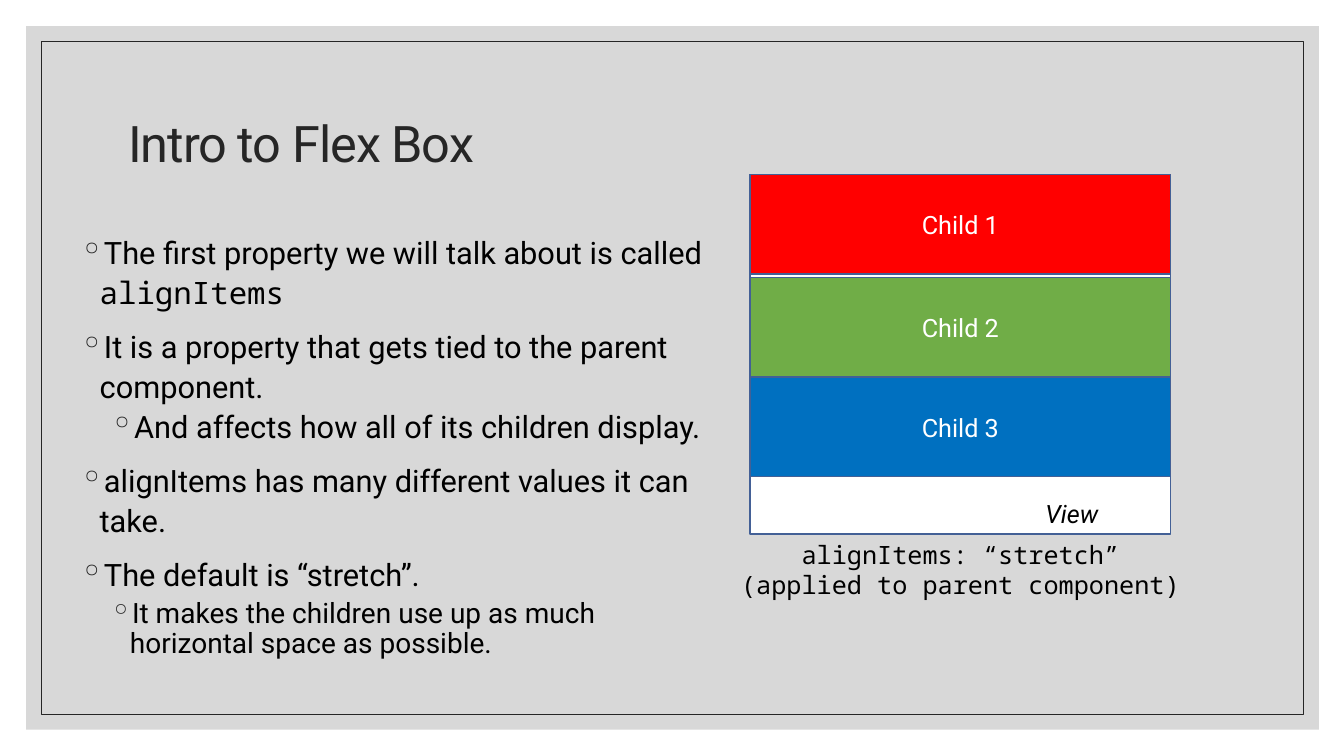
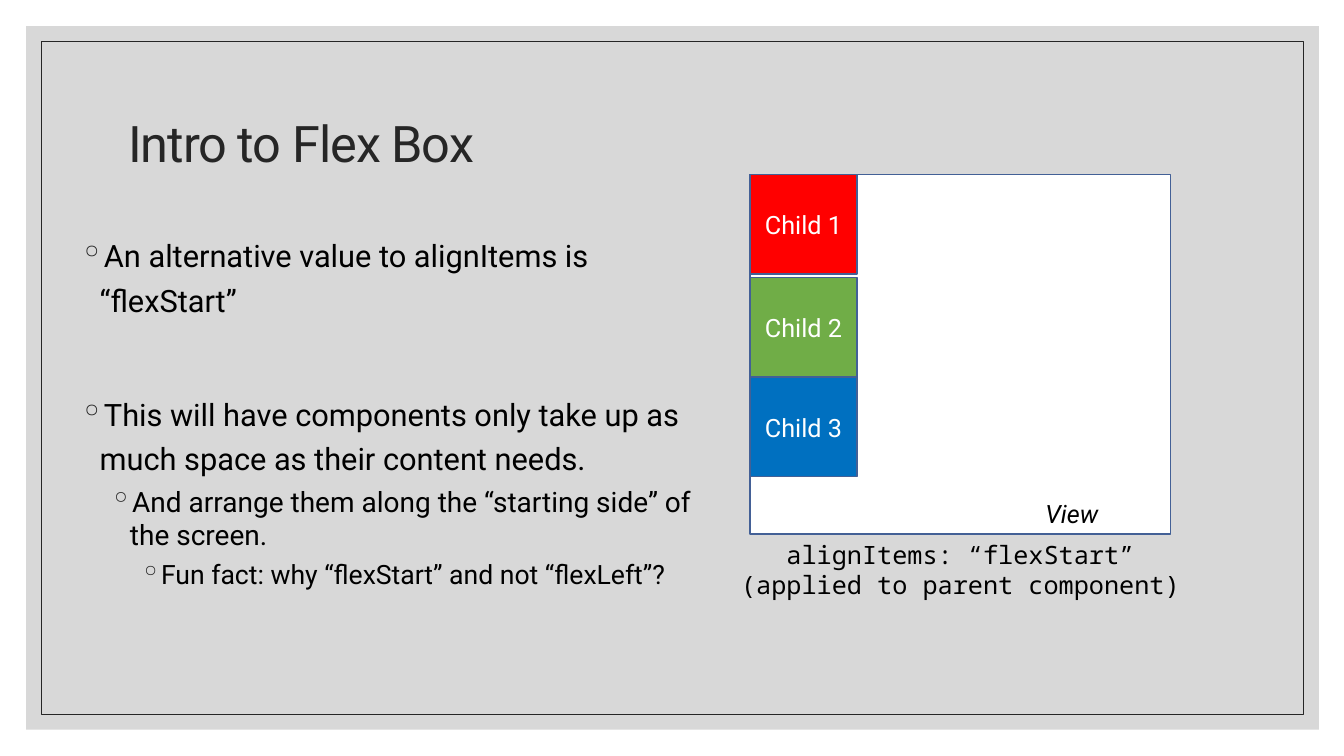
from dataclasses import dataclass

import pptx
import pptx.dml.color
import pptx.enum.shapes
import pptx.enum.text
import pptx.oxml
import pptx.oxml.ns
import pptx.util
from pptx.util import Inches

ALIGN = pptx.enum.text.PP_ALIGN
ANCHOR = pptx.enum.text.MSO_ANCHOR
AUTO_SIZE = pptx.enum.text.MSO_AUTO_SIZE


@dataclass(frozen=True)
class Theme:
    font: str = "Roboto"
    mono: str = "Noto Sans Mono"
    panel: str = "BFBFBF"
    panel_alpha: int = 60
    ink: str = "262626"
    text: str = "000000"
    white: str = "FFFFFF"
    outline: str = "436096"
    children: tuple = ("FF0000", "70AD47", "0070C0")
    title_size: int = 36
    title_tracking: float = -0.7
    body_size: int = 22
    label_size: int = 18


@dataclass(frozen=True)
class Bullet:
    """One body paragraph; `code` is a trailing monospaced run."""
    text: str
    level: int = 0
    size: int = Theme.body_size
    spacing: float = 1.1
    before: int = 9
    code: str = ""


THEME = Theme()
VIEW_LEFT, VIEW_TOP, VIEW_WIDTH, VIEW_HEIGHT = 7.44, 1.73, 4.17, 3.57
CHILD_TOPS = (1.73, 2.75, 3.74)
CHILD_HEIGHT = 0.99


def rgb(value):
    return pptx.dml.color.RGBColor.from_string(value)


def set_font(font, size, color, name=THEME.font, italic=None):
    font.name = name
    font.size = pptx.util.Pt(size)
    font.color.rgb = rgb(color)
    font.italic = italic


def sub_element(parent, tag, **attributes):
    child = pptx.oxml.parse_xml(f"<{tag} {pptx.oxml.ns.nsdecls('a')}/>")
    for key, value in attributes.items():
        child.set(key, str(value))
    parent.append(child)
    return child


def add_box(s, left, top, width, height, fill=None, line=None, line_width=1):
    sp = s.shapes.add_shape(
        pptx.enum.shapes.MSO_SHAPE.RECTANGLE,
        Inches(left), Inches(top), Inches(width), Inches(height))
    sp.shadow.inherit = False
    if fill:
        sp.fill.solid()
        sp.fill.fore_color.rgb = rgb(fill)
    else:
        sp.fill.background()
    if line:
        sp.line.color.rgb = rgb(line)
        sp.line.width = pptx.util.Pt(line_width)
    else:
        sp.line.fill.background()
    return sp


def add_text_frame(s, left, top, width, height, wrap=True):
    box = s.shapes.add_textbox(
        Inches(left), Inches(top), Inches(width), Inches(height))
    box.text_frame.word_wrap = wrap
    return box.text_frame


def add_frame(s, layout):
    """Draw the grey panel and its inner border, then move them to the layout."""
    panel = add_box(s, 0.26, 0.26, 12.82, 6.98, fill=THEME.panel)
    color = panel.element.spPr.find(".//" + pptx.oxml.ns.qn("a:srgbClr"))
    sub_element(color, "a:alpha", val=THEME.panel_alpha * 1000)
    border = add_box(s, 0.41, 0.41, 12.52, 6.68, line=THEME.ink, line_width=0.5)
    tree = layout.element.cSld.spTree
    for index, sp in enumerate((panel, border), start=2):
        tree.insert(index, sp.element)


def set_title(s, text):
    title = s.shapes.title
    title.left, title.top = Inches(1.17), Inches(0.7)
    title.width, title.height = Inches(11), Inches(1.5)
    tf = title.text_frame
    tf.text = text
    tf.auto_size = AUTO_SIZE.NONE
    tf.vertical_anchor = ANCHOR.MIDDLE
    p = tf.paragraphs[0]
    p.alignment = ALIGN.LEFT
    p.line_spacing = 0.9
    set_font(p.font, THEME.title_size, THEME.ink)
    properties = p.runs[0].font
    properties.size = pptx.util.Pt(THEME.title_size)
    p.runs[0]._r.get_or_add_rPr().set("spc", str(round(THEME.title_tracking * 100)))


def add_bullets(s, bullets):
    tf = add_text_frame(s, 0.69, 2.23, 6.49, 4.94)
    for index, bullet in enumerate(bullets):
        p = tf.add_paragraph() if index else tf.paragraphs[0]
        p.level = bullet.level
        p.line_spacing = bullet.spacing
        if index:
            p.space_before = pptx.util.Pt(bullet.before)
        pPr = p._p.get_or_add_pPr()
        pPr.set("marL", str(Inches(0.2 + 0.3 * bullet.level)))
        pPr.set("indent", str(Inches(-0.2)))
        sub_element(sub_element(pPr, "a:buClr"), "a:srgbClr", val=THEME.ink)
        sub_element(pPr, "a:buChar", char="◦")
        set_font(p.font, bullet.size, THEME.text)
        p.add_run().text = bullet.text
        if bullet.code:
            r = p.add_run()
            r.text = bullet.code
            r.font.name = THEME.mono


def add_child(s, label, top, width, fill):
    sp = add_box(s, VIEW_LEFT, top, width, CHILD_HEIGHT, fill, THEME.outline)
    tf = sp.text_frame
    tf.vertical_anchor = ANCHOR.MIDDLE
    p = tf.paragraphs[0]
    p.text = label
    p.alignment = ALIGN.CENTER
    set_font(p.font, THEME.label_size, THEME.white)


def add_view_diagram(s, value, child_width):
    """Draw the parent view, its three children and the caption below."""
    add_box(s, VIEW_LEFT, VIEW_TOP, VIEW_WIDTH, VIEW_HEIGHT,
            THEME.white, THEME.outline)
    for number, (top, fill) in enumerate(zip(CHILD_TOPS, THEME.children), start=1):
        add_child(s, f"Child {number}", top, child_width, fill)

    tf = add_text_frame(s, 10.27, 4.89, 0.77, 0.4, wrap=False)
    tf.auto_size = AUTO_SIZE.SHAPE_TO_FIT_TEXT
    tf.text = "View"
    set_font(tf.paragraphs[0].font, THEME.label_size, THEME.text, italic=True)

    tf = add_text_frame(s, 7.05, VIEW_TOP + VIEW_HEIGHT, 4.95, 0.71)
    tf.text = f"alignItems: “{value}”\n(applied to parent component)"
    for p in tf.paragraphs:
        p.alignment = ALIGN.CENTER
        set_font(p.font, THEME.label_size, THEME.text, THEME.mono)


def add_flex_slide(prs, layout, bullets, value, child_width):
    s = prs.slides.add_slide(layout)
    set_title(s, "Intro to Flex Box")
    add_bullets(s, bullets)
    add_view_diagram(s, value, child_width)
    return s


def main():
    prs = pptx.Presentation()
    prs.slide_width, prs.slide_height = Inches(13.33), Inches(7.5)
    layout = prs.slide_layouts.get_by_name("Title Only")

    stretch = add_flex_slide(prs, layout, [
        Bullet("The first property we will talk about is called ",
               code="alignItems"),
        Bullet("It is a property that gets tied to the parent component."),
        Bullet("And affects how all of its children display.",
               level=1, spacing=0.9, before=5),
        Bullet("alignItems has many different values it can take."),
        Bullet("The default is “stretch”."),
        Bullet("It makes the children use up as much horizontal space as possible.",
               level=1, size=20, spacing=0.9, before=5),
    ], "stretch", VIEW_WIDTH)
    add_frame(stretch, layout)

    add_flex_slide(prs, layout, [
        Bullet("An alternative value to alignItems is “flexStart”", spacing=1.2),
        Bullet("This will have components only take up as much space as their "
               "content needs.", spacing=1.2, before=50),
        Bullet("And arrange them along the “starting side” of the screen.",
               level=1, size=20, spacing=1.0, before=5),
        Bullet("Fun fact: why “flexStart” and not “flexLeft”?",
               level=2, size=19, spacing=1.0, before=5),
    ], "flexStart", 1.06)

    prs.save("out.pptx")


if __name__ == "__main__":
    main()
